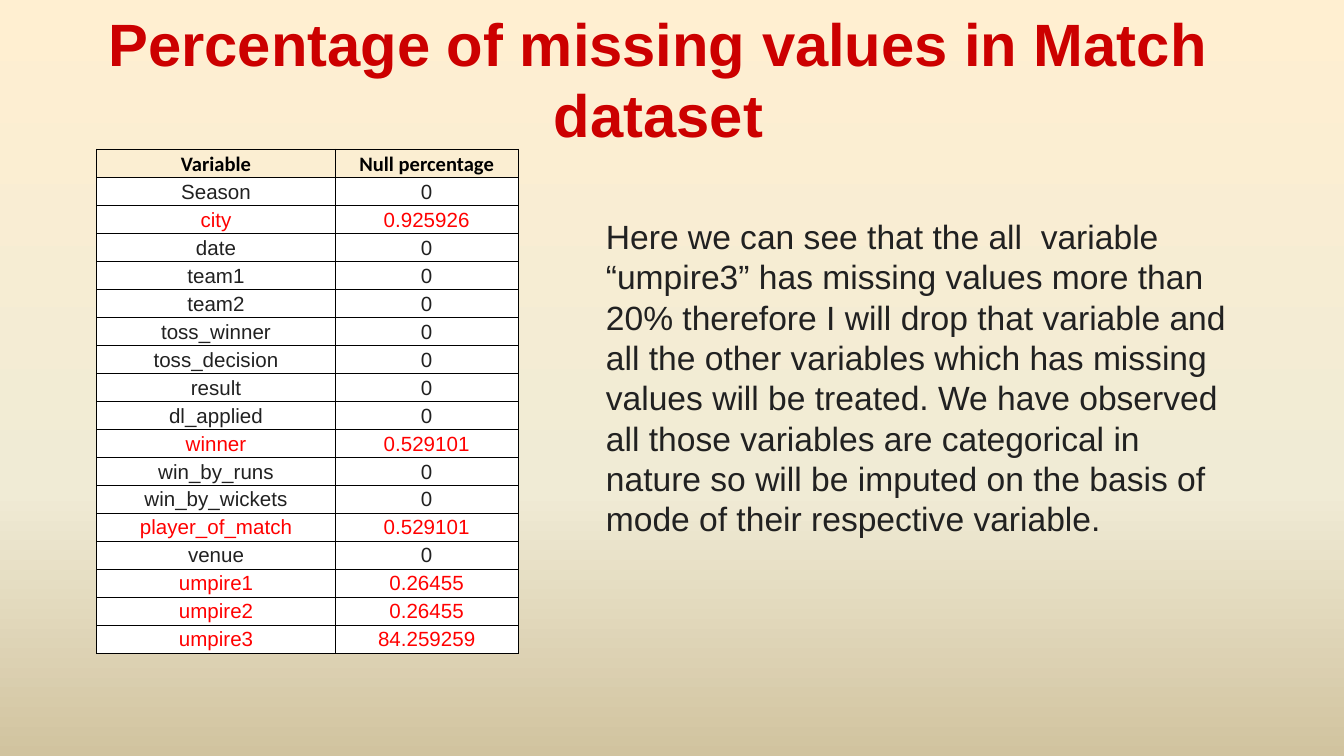
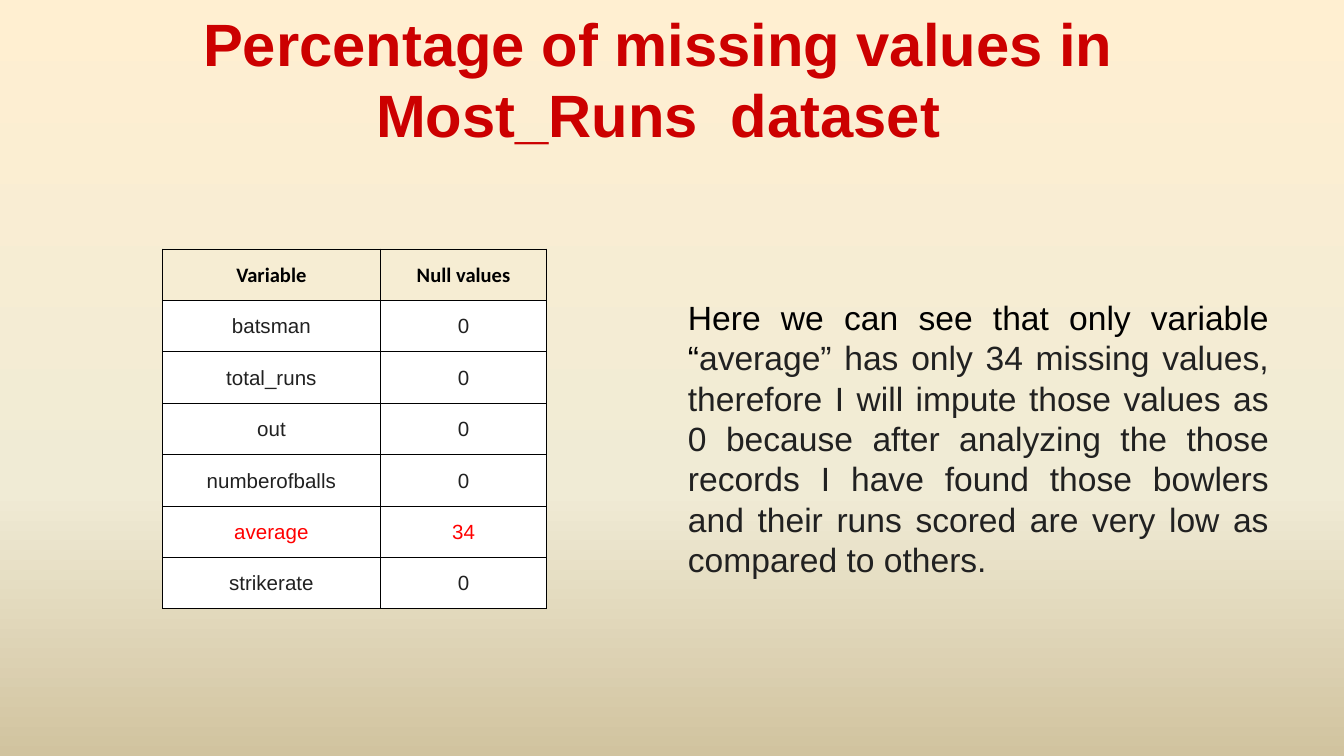
from dataclasses import dataclass

from lxml.etree import SubElement
from pptx import Presentation
from pptx.dml.color import RGBColor
from pptx.enum.text import MSO_ANCHOR as Anchor, MSO_AUTO_SIZE as Fit, PP_ALIGN as Align
from pptx.oxml.ns import qn
from pptx.util import Inches, Length, Pt

RED = RGBColor(0xCC, 0x00, 0x00)
ALERT = RGBColor(0xFF, 0x00, 0x00)
INK = RGBColor(0x21, 0x21, 0x21)
BLACK = RGBColor(0x00, 0x00, 0x00)
WHITE = RGBColor(0xFF, 0xFF, 0xFF)
CREAM = RGBColor(0xFF, 0xEF, 0xD1)
SAND = RGBColor(0xF0, 0xEB, 0xD5)
TAN = RGBColor(0xD1, 0xC3, 0x9F)

# Grid: every length is a percentage of the width or height of a 16:9 slide
WIDE = Inches(10)
HIGH = Length(WIDE * 9 // 16)


def col(n: float) -> Length:
    return Length(round(WIDE * n / 100))


def row(n: float) -> Length:
    return Length(round(HIGH * n / 100))


@dataclass(frozen=True)
class Box:
    x: float
    y: float
    w: float
    h: float

    def place(self) -> tuple[Length, Length, Length, Length]:
        return col(self.x), row(self.y), col(self.w), row(self.h)


@dataclass(frozen=True)
class Grid:
    x: float
    y: float
    cols: tuple[float, float]
    h: float
    head: tuple[str, str]
    rows: tuple[tuple[str, str], ...]


@dataclass(frozen=True)
class Page:
    title: str
    grid: Grid
    box: Box
    note: tuple[tuple[str, RGBColor], ...]
    align: Align


TITLE = Box(4.8, 4.05, 88.4, 12.6)


def names(text: str) -> tuple[tuple[str, str], ...]:
    """Pair each variable with its value; those without one have no nulls."""
    parts = (item.partition("=") for item in text.split())
    return tuple((name, value or "0") for name, _, value in parts)


PAGES = (
    Page(
        "Percentage of missing values in Match dataset",
        Grid(7.2, 19.75, (17.75, 13.6), 66.7, ("Variable", "Null percentage"),
             names("Season city=0.925926 date team1 team2 toss_winner toss_decision "
                   "result dl_applied winner=0.529101 win_by_runs win_by_wickets "
                   "player_of_match=0.529101 venue umpire1=0.26455 "
                   "umpire2=0.26455 umpire3=84.259259")),
        Box(44.1, 27.7, 49.2, 44.8),
        (("Here we can see that the all  variable “umpire3” has missing values "
          "more than 20% therefore I will drop that variable and all the other "
          "variables which has missing values will be treated. We have observed "
          "all those variables are categorical in nature so will be imputed on "
          "the basis of mode of their respective variable.", INK),),
        Align.LEFT,
    ),
    Page(
        "Percentage of missing values in Most_Runs  dataset",
        Grid(12.1, 32.95, (16.2, 12.4), 47.6, ("Variable", "Null values"),
             names("batsman total_runs out numberofballs average=34 strikerate")),
        Box(50.2, 38.4, 45.2, 39.5),
        (("Here we can see that only variable “", BLACK),
         ("average” has only 34 missing values, therefore I will impute those "
          "values as 0 because after analyzing the those records I have found "
          "those bowlers and their runs scored are very low as compared to "
          "others.", INK)),
        Align.JUSTIFY,
    ),
)


def write(frame, text: str, *, size: float, color: RGBColor, font: str = "Arial",
          bold: bool = False, align: Align = Align.CENTER) -> None:
    """Add one formatted run to the first paragraph of a frame."""
    para = frame.paragraphs[0]
    para.alignment = align
    run = para.add_run()
    run.text = text
    run.font.size, run.font.name, run.font.bold = Pt(size), font, bold
    run.font.color.rgb = color


def paint(master) -> None:
    """Give the master the gradient that all slides share."""
    fill = master.background.fill
    fill.gradient()
    fill.gradient_angle = 270
    stops = next(master.element.iter(qn("a:gsLst")))
    for stop in list(stops):
        stops.remove(stop)
    for share, color in ((0, CREAM), (65, SAND), (100, TAN)):
        stop = SubElement(stops, qn("a:gs"), pos=str(share * 1000))
        SubElement(stop, qn("a:srgbClr"), val=str(color))


def edge(cell) -> None:
    """Draw thin black lines on all four sides of a cell."""
    props = cell._tc.get_or_add_tcPr()
    for at, side in enumerate(("a:lnL", "a:lnR", "a:lnT", "a:lnB")):
        line = SubElement(props, qn(side), w=str(int(Pt(0.5))))
        fill = SubElement(line, qn("a:solidFill"))
        SubElement(fill, qn("a:srgbClr"), val=str(BLACK))
        props.insert(at, line)


def add_title(slide, text: str) -> None:
    shape = slide.shapes.title
    shape.left, shape.top, shape.width, shape.height = TITLE.place()
    frame = shape.text_frame
    frame.auto_size, frame.word_wrap = Fit.NONE, True
    frame.vertical_anchor = Anchor.MIDDLE
    frame.margin_left = frame.margin_right = Inches(0.1)
    frame.margin_top = frame.margin_bottom = Inches(0.1)
    write(frame, text, size=32, color=RED, bold=True)


def add_note(slide, page: Page) -> None:
    frame = slide.shapes.add_textbox(*page.box.place()).text_frame
    frame.word_wrap, frame.auto_size = True, Fit.SHAPE_TO_FIT_TEXT
    for text, color in page.note:
        write(frame, text, size=18, color=color, align=page.align)


def add_grid(slide, grid: Grid) -> None:
    lines = (grid.head, *grid.rows)
    box = Box(grid.x, grid.y, sum(grid.cols), grid.h)
    table = slide.shapes.add_table(len(lines), len(grid.cols), *box.place()).table
    table.first_row = table.horz_banding = False
    for part, width in zip(table.columns, grid.cols):
        part.width = col(width)
    for r, line in enumerate(lines):
        table.rows[r].height = row(grid.h / len(lines))
        for c, text in enumerate(line):
            cell = table.cell(r, c)
            cell.vertical_anchor = Anchor.MIDDLE
            cell.margin_left = cell.margin_right = cell.margin_top = Inches(0.01)
            cell.margin_bottom = 0
            if r == 0:
                cell.fill.background()
                write(cell.text_frame, text, size=11, color=BLACK,
                      font="Calibri", bold=True)
            else:
                cell.fill.solid()
                cell.fill.fore_color.rgb = WHITE
                # Variables with missing values stand out
                write(cell.text_frame, text, size=11,
                      color=INK if line[1] == "0" else ALERT)
            edge(cell)


def main() -> None:
    deck = Presentation()
    deck.slide_width, deck.slide_height = WIDE, HIGH
    paint(deck.slide_master)
    for page in PAGES:
        slide = deck.slides.add_slide(deck.slide_layouts[5])
        add_title(slide, page.title)
        add_note(slide, page)
        add_grid(slide, page.grid)
    deck.save("out.pptx")


if __name__ == "__main__":
    main()
